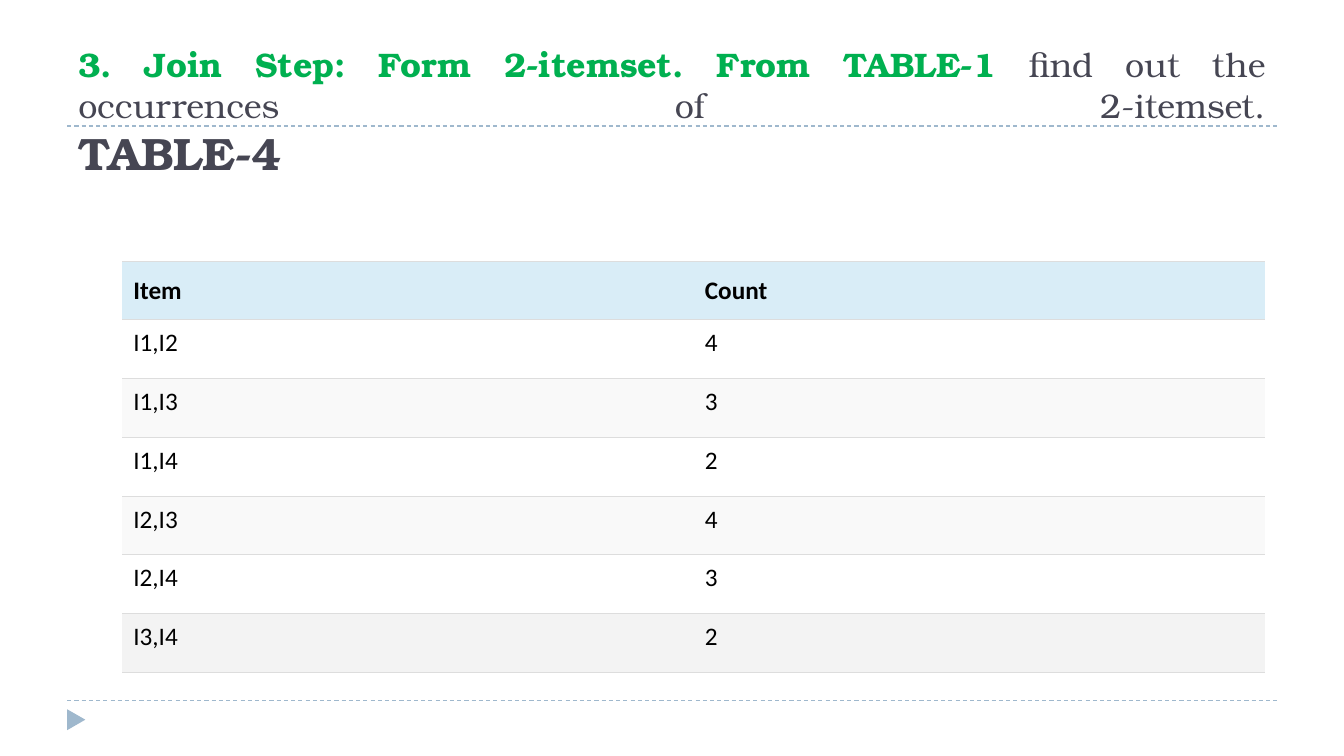
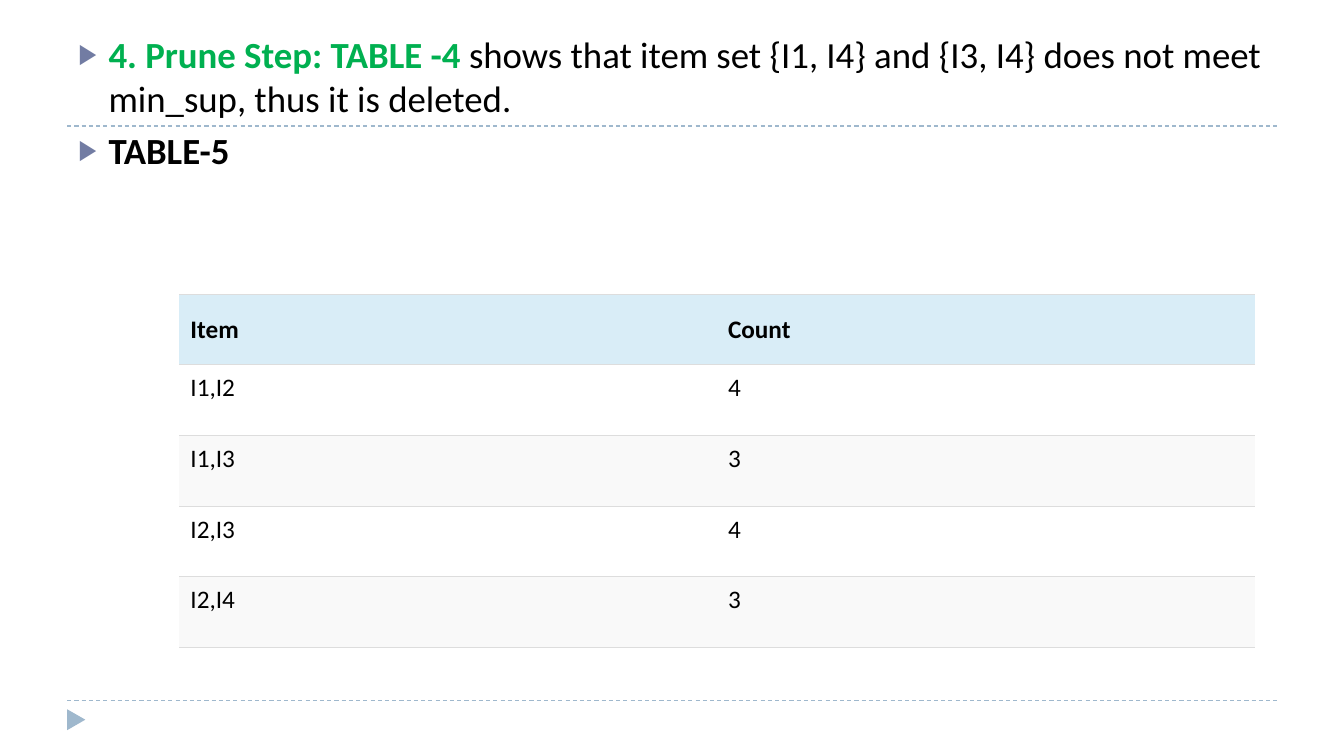
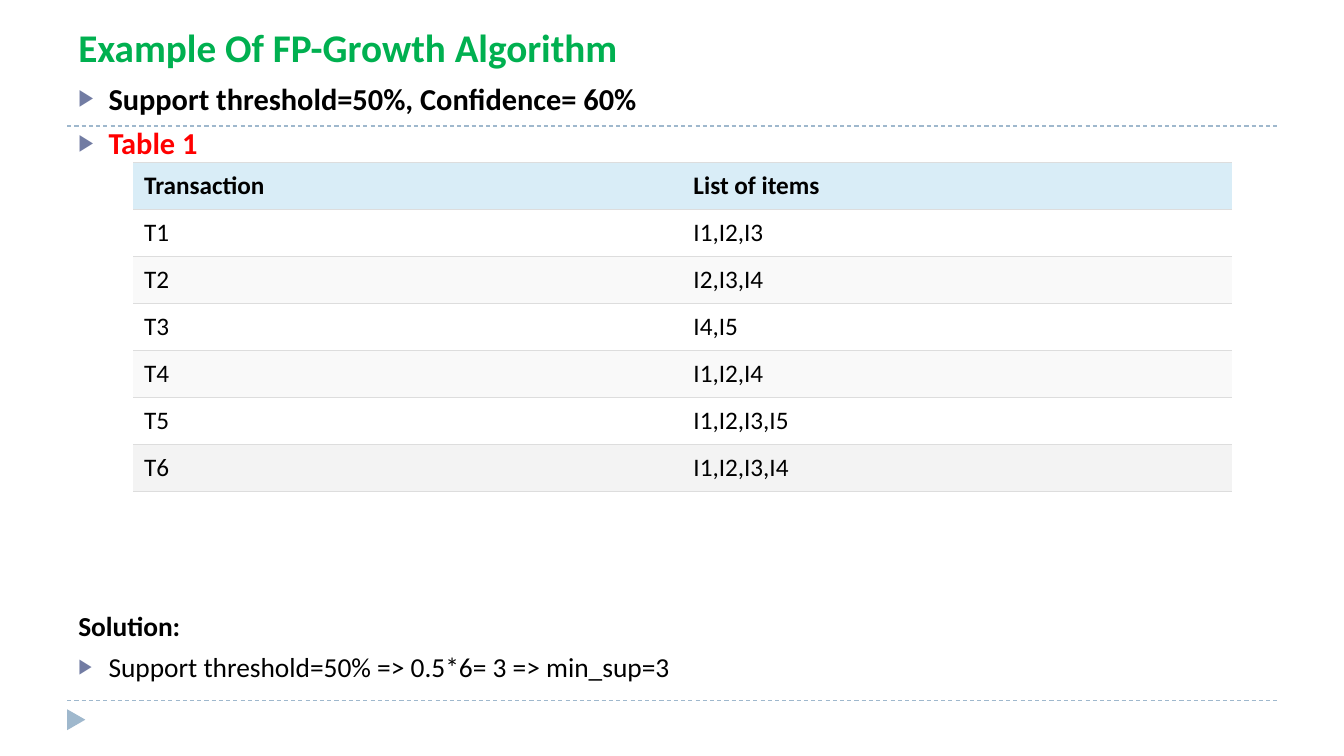
import pptx
import pptx.util
import pptx.dml.color
import pptx.enum.dml
import pptx.enum.shapes
import pptx.enum.text
import pptx.oxml
import pptx.oxml.ns

COLORS = {
    "rule": "9FB8CD", "bullet": "727CA3", "step": "00B050", "title": "464653",
    "text": "000000", "alert": "FF0000", "head": "D9EDF7", "odd": "FFFFFF",
    "even": "F9F9F9", "last": "F3F3F3", "border": "DDDDDD",
}
BODY_FONT, TITLE_FONT = "Calibri", "TeX Gyre Bonum"
SLIDE_W, SLIDE_H = pptx.util.Inches(13.333), pptx.util.Inches(7.5)
COL, ROW = SLIDE_W / 20, SLIDE_H / 30
PLAIN_TABLE = "{2D5ABB26-0587-4C30-8999-92F81FD0307C}"
ALIGN = pptx.enum.text.PP_ALIGN
ANCHOR = pptx.enum.text.MSO_ANCHOR


def rgb(name):
    return pptx.dml.color.RGBColor.from_string(COLORS[name])


def grid(col, row, cols, rows):
    """Turn grid columns and rows into left, top, width, height."""
    return int(col * COL), int(row * ROW), int(cols * COL), int(rows * ROW)


def add_xml(parent, tag, index=None, **attrs):
    el = parent.makeelement(pptx.oxml.ns.qn(tag), attrs)
    parent.insert(len(parent) if index is None else index, el)
    return el


def add_run(p, text, size, color, bold=False, font=BODY_FONT):
    r = p.add_run()
    r.text = text
    r.font.name, r.font.size, r.font.bold = font, pptx.util.Pt(size), bold
    r.font.color.rgb = rgb(color)


# Shared rules and corner marker
def decorate_master(prs, s):
    parts = []
    for row in (27.8, 5):
        x, y, w, _ = grid(1, row, 18, 0)
        line = s.shapes.add_connector(
            pptx.enum.shapes.MSO_CONNECTOR.STRAIGHT, x, y, x + w, y)
        line.line.color.rgb = rgb("rule")
        line.line.width = pptx.util.Pt(0.75)
        line.line.dash_style = pptx.enum.dml.MSO_LINE.DASH
        add_xml(line.element.spPr, "a:effectLst")
        parts.append(line)
    marker = s.shapes.add_shape(
        pptx.enum.shapes.MSO_SHAPE.ISOSCELES_TRIANGLE, *grid(0.98, 28.2, 0.31, 0.72))
    marker.rotation = 90
    marker.shadow.inherit = False
    marker.fill.solid()
    marker.fill.fore_color.rgb = rgb("rule")
    marker.line.fill.background()
    parts.append(marker)
    for sp in parts:
        prs.slide_master.shapes.element.append(sp.element)


# Placeholders
def place(sp, box, anchor=ANCHOR.TOP):
    sp.left, sp.top, sp.width, sp.height = grid(*box)
    tf = sp.text_frame
    tf.word_wrap = True
    tf.auto_size = pptx.enum.text.MSO_AUTO_SIZE.NONE
    tf.vertical_anchor = anchor
    tf.margin_left = tf.margin_right = pptx.util.Inches(0.11)
    tf.margin_top = tf.margin_bottom = pptx.util.Inches(0.06)
    return tf


def set_bullet(p, bulleted):
    pPr = p._p.get_or_add_pPr()
    indent = pptx.util.Inches(0.3) if bulleted else 0
    pPr.set("marL", str(indent))
    pPr.set("indent", str(-indent))
    if bulleted:
        clr = add_xml(pPr, "a:buClr")
        add_xml(clr, "a:srgbClr", val=COLORS["bullet"])
        add_xml(pPr, "a:buSzPct", val="76000")
        add_xml(pPr, "a:buChar", char="▶")
    else:
        add_xml(pPr, "a:buNone")


def fill_body(sp, box, paragraphs):
    """Each paragraph is (bulleted, runs)."""
    tf = place(sp, box)
    for i, (bulleted, runs) in enumerate(paragraphs):
        p = tf.add_paragraph() if i else tf.paragraphs[0]
        set_bullet(p, bulleted)
        p.alignment = ALIGN.LEFT
        p.space_before = pptx.util.Pt(6 if i else 0)
        for run in runs:
            add_run(p, *run)


# Tables
def add_data_table(s, box, rows, last_fill="even"):
    x, y, w, h = grid(*box)
    frame = s.shapes.add_table(len(rows), len(rows[0]), x, y, w, h)
    table = frame.table
    table.horz_banding = False
    tblPr = table._tbl.tblPr
    tblPr.find(pptx.oxml.ns.qn("a:tableStyleId")).text = PLAIN_TABLE
    for i, values in enumerate(rows):
        if i == 0:
            fill = "head"
        elif i == len(rows) - 1:
            fill = last_fill
        else:
            fill = "odd" if i % 2 else "even"
        for j, value in enumerate(values):
            format_cell(table.cell(i, j), value, fill, header=i == 0)


def format_cell(cell, value, fill, header):
    cell.fill.solid()
    cell.fill.fore_color.rgb = rgb(fill)
    cell.margin_left = cell.margin_right = pptx.util.Inches(0.11)
    cell.margin_top = cell.margin_bottom = pptx.util.Inches(0.08)
    cell.vertical_anchor = ANCHOR.MIDDLE if header else ANCHOR.TOP
    add_run(cell.text_frame.paragraphs[0], value, 18, "text", header)
    tcPr = cell._tc.get_or_add_tcPr()
    for index, side in enumerate(("a:lnT", "a:lnB")):
        ln = add_xml(tcPr, side, index, w=str(pptx.util.Pt(0.75)))
        add_xml(add_xml(ln, "a:solidFill"), "a:srgbClr", val=COLORS["border"])


# Slides
def join_step(s):
    tf = place(s.shapes.title, (1, 2.68, 18, 4.68), ANCHOR.BOTTOM)
    p = tf.paragraphs[0]
    p.alignment = ALIGN.JUSTIFY
    add_run(p, "3. Join Step: Form 2-itemset. From TABLE-1 ", 24.3, "step", True, TITLE_FONT)
    add_run(p, "find out the occurrences of 2-itemset.", 24.3, "title", False, TITLE_FONT)
    p.add_line_break()
    add_run(p, "TABLE-4", 32.4, "title", True, TITLE_FONT)
    add_data_table(s, (1.82, 10.36, 17.01, 16.32), [
        ("Item", "Count"), ("I1,I2", "4"), ("I1,I3", "3"), ("I1,I4", "2"),
        ("I2,I3", "4"), ("I2,I4", "3"), ("I3,I4", "2")], "last")


def prune_step(s):
    title = s.shapes.title.element
    title.getparent().remove(title)
    fill_body(s.placeholders[1], (1, 1, 18, 25.8), [
        (True, [("4. Prune Step: TABLE -4 ", 26.3, "step", True),
                ("shows that item set {I1, I4} and {I3, I4} does not meet "
                 "min_sup, thus it is deleted.", 26.3, "text")]),
        (True, [("TABLE-5", 26.3, "text", True)])])
    add_data_table(s, (2.67, 11.68, 16, 14), [
        ("Item", "Count"), ("I1,I2", "4"), ("I1,I3", "3"),
        ("I2,I3", "4"), ("I2,I4", "3")])


def fp_growth(s):
    tf = place(s.shapes.title, (1, 0.68, 18, 2.24))
    tf.paragraphs[0].alignment = ALIGN.LEFT
    add_run(tf.paragraphs[0], "Example Of FP-Growth Algorithm", 28, "step", True)
    fill_body(s.placeholders[1], (1, 2.92, 18, 3.8), [
        (True, [("Support threshold=50%, Confidence= 60%", 21.7, "text", True)]),
        (True, [("Table 1", 21.7, "alert", True)])])
    fill_body(s.placeholders[2], (1, 23.92, 18, 3.6), [
        (False, [("Solution:", 19.6, "text", True)]),
        (True, [("Support threshold=50% => 0.5*6= 3 => min_sup=3", 19.6, "text")])])
    add_data_table(s, (1.98, 6.44, 16.35, 13.08), [
        ("Transaction", "List of items"), ("T1", "I1,I2,I3"), ("T2", "I2,I3,I4"),
        ("T3", "I4,I5"), ("T4", "I1,I2,I4"), ("T5", "I1,I2,I3,I5"),
        ("T6", "I1,I2,I3,I4")], "last")


def main():
    prs = pptx.Presentation()
    prs.slide_width, prs.slide_height = SLIDE_W, SLIDE_H
    # Layouts: title only, title and content, two contents
    for i, (layout, build) in enumerate(((5, join_step), (1, prune_step), (3, fp_growth))):
        s = prs.slides.add_slide(prs.slide_layouts[layout])
        if i == 0:
            decorate_master(prs, s)
        build(s)
    prs.save("out.pptx")


if __name__ == "__main__":
    main()
